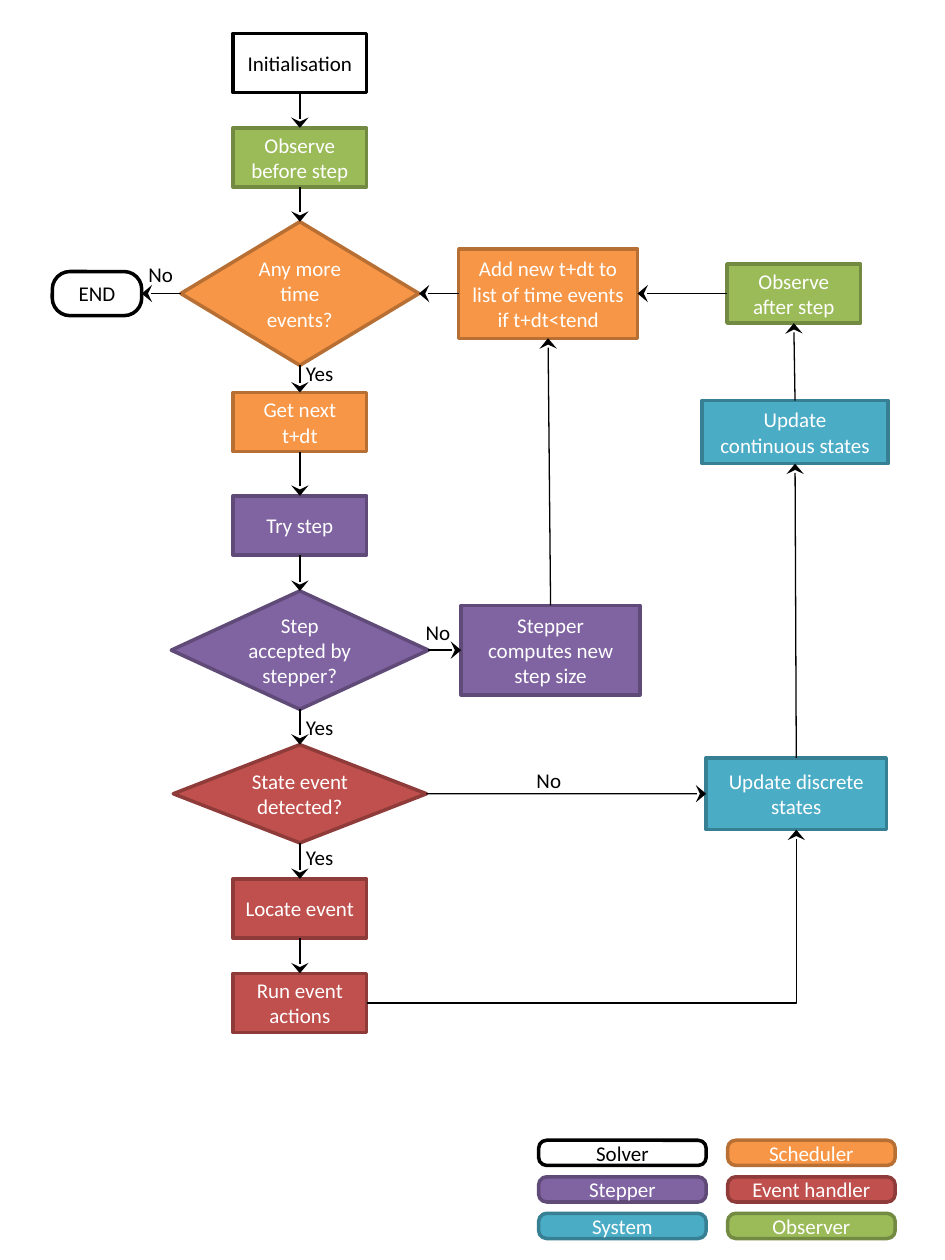
from lxml import etree
from pptx import Presentation
from pptx.dml.color import RGBColor
from pptx.enum.shapes import MSO_CONNECTOR as CXN, MSO_SHAPE as SHAPE
from pptx.enum.text import MSO_ANCHOR, MSO_AUTO_SIZE, PP_ALIGN
from pptx.oxml.ns import qn
from pptx.util import Inches, Pt

# role: (fill, outline, text)
COLORS = {
    "Solver": ("FFFFFF", "000000", "000000"),
    "Stepper": ("8064A2", "5F4A78", "FFFFFF"),
    "System": ("4BACC6", "377F92", "FFFFFF"),
    "Scheduler": ("F79646", "B76F34", "FFFFFF"),
    "Event handler": ("C0504D", "8E3B39", "FFFFFF"),
    "Observer": ("9BBB59", "738A42", "FFFFFF"),
}
INK = "000000"
BOX, DIAMOND, ROUND = SHAPE.RECTANGLE, SHAPE.DIAMOND, SHAPE.ROUNDED_RECTANGLE
TOP, LEFT, BOTTOM, RIGHT = range(4)
MAIN_X, LOOP_Y = 2.38, 2.33
STEP = (1.06, 0.47)
WIDE = (1.42, 0.71)

# key: (text, role, shape, centre x, centre y, (width, height))
NODES = {
    "init": ("Initialisation", "Solver", BOX, MAIN_X, 0.5, STEP),
    "before": ("Observe before step", "Observer", BOX, MAIN_X, 1.25, STEP),
    "more": ("Any more time events?", "Scheduler", DIAMOND, MAIN_X, LOOP_Y, (1.89, 1.14)),
    "end": ("END", "Solver", ROUND, 0.77, LOOP_Y, (0.71, 0.35)),
    "next": ("Get next t+dt", "Scheduler", BOX, MAIN_X, 3.35, STEP),
    "try": ("Try step", "Stepper", BOX, MAIN_X, 4.17, STEP),
    "accepted": ("Step accepted by stepper?", "Stepper", DIAMOND, MAIN_X, 5.16, (2.04, 0.94)),
    "detected": ("State event detected?", "Event handler", DIAMOND, MAIN_X, 6.3, (2.01, 0.78)),
    "locate": ("Locate event", "Event handler", BOX, MAIN_X, 7.21, STEP),
    "run": ("Run event actions", "Event handler", BOX, MAIN_X, 7.96, STEP),
    "resize": ("Stepper computes new step size", "Stepper", BOX, 4.37, 5.16, WIDE),
    "add": ("Add new t+dt to list of time events if t+dt<tend", "Scheduler", BOX, 4.35, LOOP_Y, WIDE),
    "discrete": ("Update discrete states", "System", BOX, 6.32, 6.3, (1.43, 0.57)),
    "continuous": ("Update continuous states", "System", BOX, 6.31, 3.43, (1.48, 0.5)),
    "after": ("Observe after step", "Observer", BOX, 6.3, LOOP_Y, STEP),
}
MAIN_FLOW = ["init", "before", "more", "next", "try", "accepted", "detected", "locate", "run"]
LINKS = [(a, BOTTOM, b, TOP) for a, b in zip(MAIN_FLOW, MAIN_FLOW[1:])] + [
    ("more", LEFT, "end", RIGHT),
    ("add", LEFT, "more", RIGHT),
    ("after", LEFT, "add", RIGHT),
    ("accepted", RIGHT, "resize", LEFT),
    ("resize", TOP, "add", BOTTOM),
    ("detected", RIGHT, "discrete", LEFT),
    ("discrete", TOP, "continuous", BOTTOM),
    ("continuous", TOP, "after", BOTTOM),
    ("run", RIGHT, "discrete", BOTTOM),
]
ANSWERS = [("No", 1.08, 2.03), ("Yes", 2.33, 2.81), ("No", 3.28, 4.87),
           ("Yes", 2.33, 5.62), ("Yes", 2.33, 6.65), ("No", 4.16, 6.04)]
ANSWER_WIDTHS = {"No": 0.4, "Yes": 0.42}
LEGEND_X, LEGEND_Y, LEGEND_DX, LEGEND_DY = 4.94, 9.15, 1.5, 0.29
LEGEND_ROWS = 3


def style_text(tf, color):
    """Set the font of every run in a text frame."""
    for p in tf.paragraphs:
        for r in p.runs:
            r.font.size, r.font.name = Pt(12), "Calibri"
            r.font.color.rgb = RGBColor.from_string(color)


def add_node(shapes, text, role, kind, cx, cy, size, corner=0.4):
    """Add a filled, labelled shape around a centre point."""
    w, h = size
    sp = shapes.add_shape(kind, Inches(cx - w / 2), Inches(cy - h / 2), Inches(w), Inches(h))
    fill, line, ink = COLORS[role]
    sp.shadow.inherit = False
    sp.fill.solid()
    sp.fill.fore_color.rgb = RGBColor.from_string(fill)
    sp.line.color.rgb = RGBColor.from_string(line)
    sp.line.width = Pt(2)
    if kind == ROUND:
        sp.adjustments[0] = corner
    tf = sp.text_frame
    tf.word_wrap = True
    tf.vertical_anchor = MSO_ANCHOR.MIDDLE
    tf.text = text
    tf.paragraphs[0].alignment = PP_ALIGN.CENTER
    style_text(tf, ink)
    return sp


def add_arrow(shapes, start, start_side, end, end_side):
    """Join two nodes with an arrow, bent once when it must turn a corner."""
    bent = start_side % 2 != end_side % 2
    cxn = shapes.add_connector(CXN.ELBOW if bent else CXN.STRAIGHT, 0, 0, 0, 0)
    cxn.begin_connect(start, start_side)
    cxn.end_connect(end, end_side)
    cxn.line.color.rgb = RGBColor.from_string(INK)
    cxn.line.width = Pt(0.75)
    sp_pr = cxn._element.spPr
    if bent:
        sp_pr.find(qn("a:prstGeom")).set("prst", "bentConnector2")
    etree.SubElement(sp_pr.find(qn("a:ln")), qn("a:tailEnd"), type="stealth", w="lg", len="med")
    etree.SubElement(sp_pr, qn("a:effectLst"))


def add_answer(shapes, text, x, y):
    """Add a one-line label beside a branch, with room to spare on the right."""
    box = shapes.add_textbox(Inches(x), Inches(y), Inches(ANSWER_WIDTHS[text]), Inches(0.3))
    tf = box.text_frame
    tf.word_wrap = False
    tf.auto_size = MSO_AUTO_SIZE.SHAPE_TO_FIT_TEXT
    tf.margin_right = 0
    tf.text = text
    style_text(tf, INK)


prs = Presentation()
prs.slide_width, prs.slide_height = Inches(7.5), Inches(10)
shapes = prs.slides.add_slide(prs.slide_layouts[6]).shapes

nodes = {key: add_node(shapes, *node) for key, node in NODES.items()}
for start, start_side, end, end_side in LINKS:
    add_arrow(shapes, nodes[start], start_side, nodes[end], end_side)
for i, role in enumerate(COLORS):
    col, row = divmod(i, LEGEND_ROWS)
    add_node(shapes, role, role, ROUND, LEGEND_X + col * LEGEND_DX,
             LEGEND_Y + row * LEGEND_DY, (1.33, 0.2), corner=0.32)
for answer in ANSWERS:
    add_answer(shapes, *answer)

prs.save("out.pptx")
